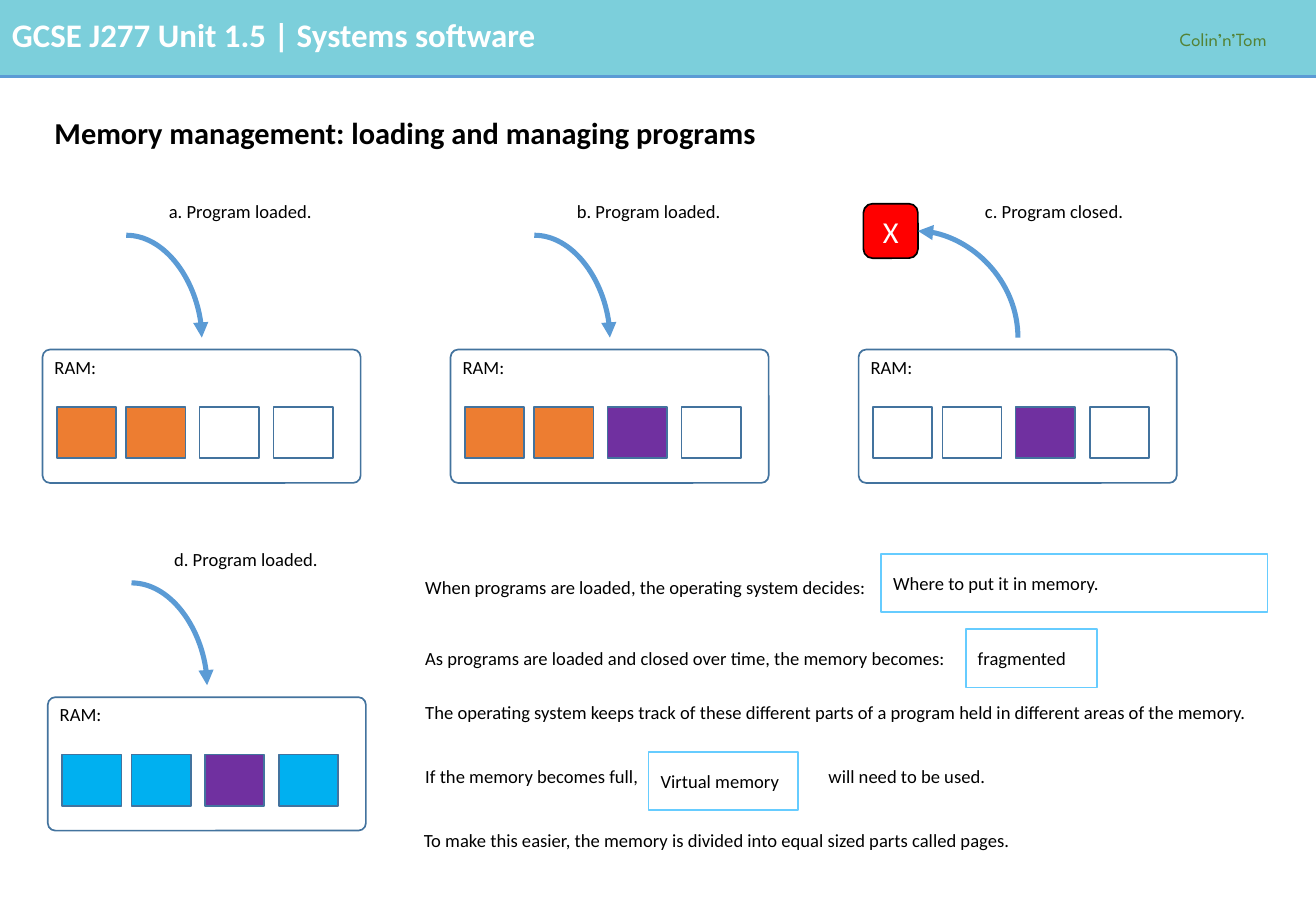
from dataclasses import dataclass

from lxml import etree
from pptx import Presentation
from pptx.dml.color import RGBColor
from pptx.enum.shapes import MSO_CONNECTOR, MSO_SHAPE
from pptx.enum.text import MSO_ANCHOR, PP_ALIGN
from pptx.oxml.ns import qn
from pptx.util import Cm, Pt

RECTANGLE = MSO_SHAPE.RECTANGLE
ROUNDED = MSO_SHAPE.ROUNDED_RECTANGLE
STRAIGHT, CURVE = MSO_CONNECTOR.STRAIGHT, MSO_CONNECTOR.CURVE
TOP, MIDDLE = MSO_ANCHOR.TOP, MSO_ANCHOR.MIDDLE
LEFT, CENTER = PP_ALIGN.LEFT, PP_ALIGN.CENTER


@dataclass(frozen=True)
class Theme:
    font: str = "Calibri"
    badge_font: str = "League Spartan"
    banner_size: float = 19.5
    title_size: float = 18
    body_size: float = 11
    text: str = "000000"
    white: str = "FFFFFF"
    banner: str = "7CCFDB"
    badge: str = "548235"
    accent: str = "5B9BD5"
    outline: str = "43739E"
    answer: str = "66CCFF"
    orange: str = "ED7D31"
    purple: str = "7030A0"
    blue: str = "00B0F0"
    red: str = "FF0000"


THEME = Theme()


def write(shape, text, size=THEME.body_size, color=THEME.text, font=THEME.font,
          bold=False, align=LEFT, anchor=TOP, wrap=True, line_spacing=None):
    """Put one formatted paragraph into a shape."""
    frame = shape.text_frame
    frame.word_wrap = wrap
    frame.vertical_anchor = anchor
    paragraph = frame.paragraphs[0]
    paragraph.alignment = align
    paragraph.line_spacing = line_spacing
    run = paragraph.add_run()
    run.text = text
    run.font.name = font
    run.font.size = Pt(size)
    run.font.bold = bold
    run.font.color.rgb = RGBColor.from_string(color)


def add_text(slide, text, left, top, width, height=0.74, **text_format):
    box = slide.shapes.add_textbox(Cm(left), Cm(top), Cm(width), Cm(height))
    write(box, text, **text_format)


def add_box(slide, kind, left, top, width, height, fill=None, line=None):
    shape = slide.shapes.add_shape(kind, Cm(left), Cm(top), Cm(width), Cm(height))
    shape.shadow.inherit = False
    if fill:
        shape.fill.solid()
        shape.fill.fore_color.rgb = RGBColor.from_string(fill)
    else:
        shape.fill.background()
    if line:
        shape.line.color.rgb = RGBColor.from_string(line)
        shape.line.width = Pt(1)
    else:
        shape.line.fill.background()
    return shape


def add_line(slide, kind, start, end, width, arrow=None):
    """Draw a line; arrow is None, "headEnd" (at start) or "tailEnd" (at end)."""
    points = [Cm(value) for value in (*start, *end)]
    connector = slide.shapes.add_connector(kind, *points)
    connector.line.color.rgb = RGBColor.from_string(THEME.accent)
    connector.line.width = Pt(width)
    properties = connector._element.spPr
    if kind == CURVE:
        properties.find(qn("a:prstGeom")).set("prst", "curvedConnector2")
    if arrow:
        etree.SubElement(properties.find(qn("a:ln")), qn("a:" + arrow), type="triangle")
    etree.SubElement(properties, qn("a:effectLst"))


def add_header(slide, left, top, width, height):
    add_box(slide, RECTANGLE, left, top, width, height, fill=THEME.banner)
    add_line(slide, STRAIGHT, (left, top + height), (left + width, top + height), 2.25)
    add_text(slide, "GCSE J277 Unit 1.5 | Systems software", left, top + 0.18, 24.08, 1.09,
             size=THEME.banner_size, color=THEME.white, bold=True)
    add_text(slide, "Colin’n’Tom", left + width - 3.1, top + 0.43, 3.1,
             color=THEME.badge, font=THEME.badge_font, wrap=False, line_spacing=1.07)


def add_memory_panel(slide, left, top, label, pages, closing=False):
    """Show one loading or closing step above the state of the RAM."""
    add_text(slide, label, left + 2.39, top, 3.53, wrap=False)

    # RAM and its pages
    ram_top = top + 3.25
    ram = add_box(slide, ROUNDED, left, ram_top, 6.65, 2.79, line=THEME.outline)
    ram.adjustments[0] = 0.056
    add_text(slide, "RAM:", left, ram_top, 1.4, wrap=False)
    for offset, color in zip((0.3, 1.75, 3.28, 4.83), pages):
        add_box(slide, RECTANGLE, left + offset, ram_top + 1.2, 1.24, 1.07,
                fill=color, line=THEME.outline)

    # Movement into or out of memory
    arrow_end = (left + 3.33, top + 3)
    if closing:
        side = 1.14
        close = add_box(slide, ROUNDED, left + 0.1, top + 0.2, side, side,
                        fill=THEME.red, line=THEME.text)
        write(close, "X", size=THEME.title_size, color=THEME.white,
              align=CENTER, anchor=MIDDLE)
        add_line(slide, CURVE, (left + 0.1 + side, top + 0.2 + side / 2),
                 arrow_end, 3, "headEnd")
    else:
        add_line(slide, CURVE, (left + 1.75, top + 0.86), arrow_end, 3, "tailEnd")


def add_explanation(slide, left, top):
    sentences = (
        ("When programs are loaded, the operating system decides:", 0, 0.33, 11.56),
        ("As programs are loaded and closed over time, the memory becomes:", 0, 1.83, 13.26),
        ("The operating system keeps track of these different parts of a program "
         "held in different areas of the memory.", 0, 2.95, 17.88),
        ("If the memory becomes full,", 0, 4.3, 6.7),
        ("will need to be used.", 8.43, 4.3, 9.45),
        ("To make this easier, the memory is divided into equal sized parts "
         "called pages.", -0.03, 5.64, 17.88),
    )
    for text, x, y, width in sentences:
        add_text(slide, text, left + x, top + y, width)

    # Framed answers
    answers = (
        ("Where to put it in memory.", 9.78, 0, 8.08),
        ("fragmented", 11.55, 1.58, 2.74),
        ("Virtual memory", 4.92, 4.14, 3.12),
    )
    for text, x, y, width in answers:
        box = add_box(slide, RECTANGLE, left + x, top + y, width, 1.22, line=THEME.answer)
        write(box, text, anchor=MIDDLE)


def main():
    presentation = Presentation()
    presentation.slide_width, presentation.slide_height = Cm(27.51), Cm(19.05)
    slide = presentation.slides.add_slide(presentation.slide_layouts[6])

    add_header(slide, 0, 0, 27.51, 1.6)
    add_text(slide, "Memory management: loading and managing programs",
             0.89, 2.11, 25.65, 1.42, size=THEME.title_size, bold=True,
             anchor=MIDDLE, line_spacing=0.9)

    # Three steps across the top, the fourth below
    orange, purple, blue, white = THEME.orange, THEME.purple, THEME.blue, THEME.white
    steps = (
        ("a. Program loaded.", (orange, orange, white, white), False),
        ("b. Program loaded.", (orange, orange, purple, white), False),
        ("c. Program closed.", (white, white, purple, white), True),
    )
    for column, (label, pages, closing) in enumerate(steps):
        add_memory_panel(slide, 0.89 + 8.53 * column, 4.06, label, pages, closing)
    add_memory_panel(slide, 1, 11.33, "d. Program loaded.", (blue, blue, purple, blue))

    add_explanation(slide, 8.64, 11.58)
    presentation.save("out.pptx")


if __name__ == "__main__":
    main()
